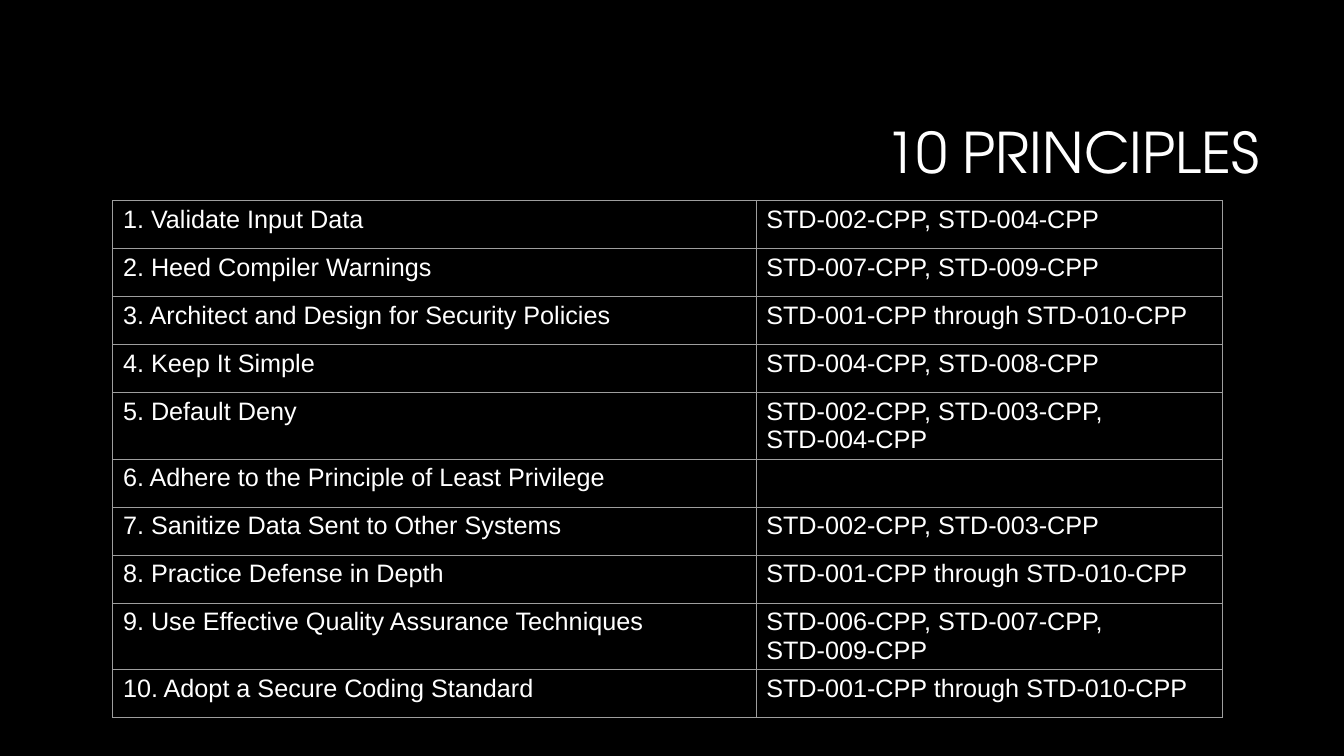
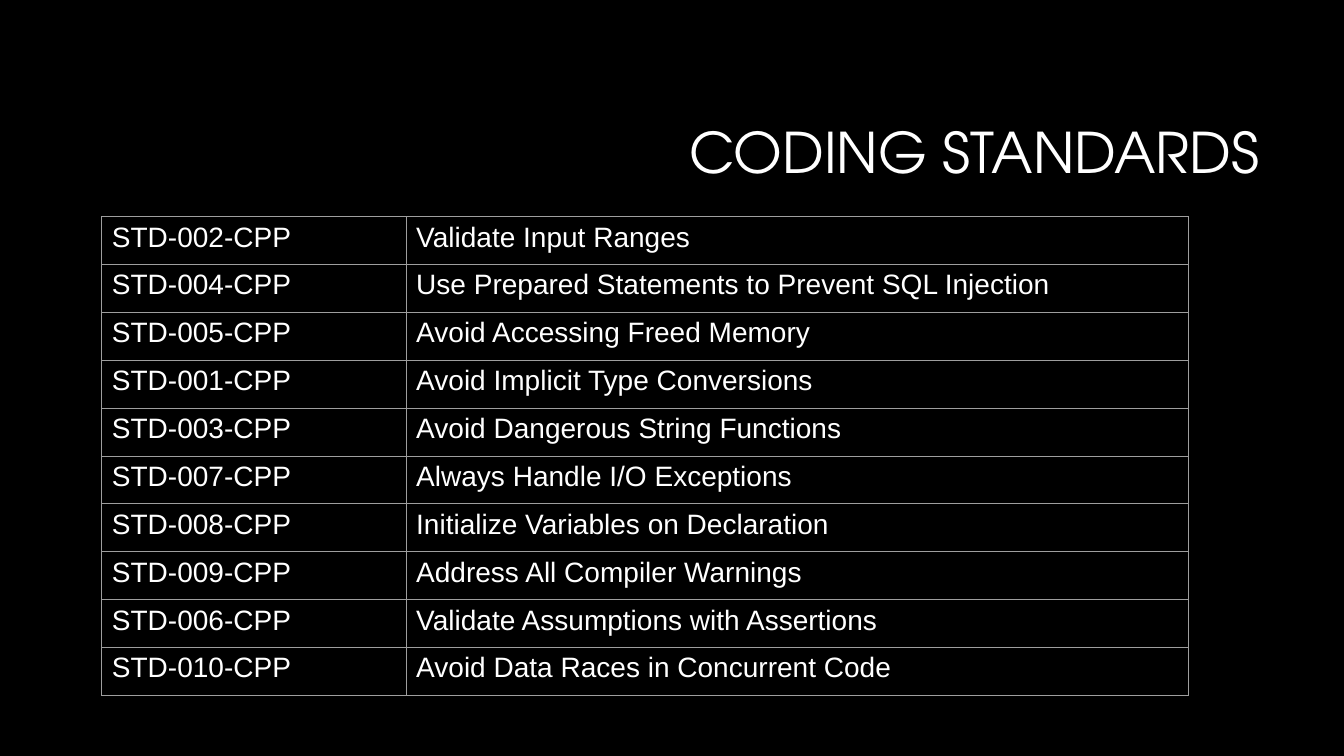
from pptx import Presentation
from pptx.dml.color import RGBColor
from pptx.enum.text import MSO_ANCHOR, MSO_AUTO_SIZE, PP_ALIGN
from pptx.oxml import parse_xml
from pptx.oxml.ns import nsdecls
from pptx.util import Inches, Pt

BLACK, WHITE, GREY = "000000", "FFFFFF", "9E9E9E"
TITLE_FONT, BODY_FONT = "TeX Gyre Adventor", "Arial"
TITLE_BOX = (3.17, 0.84, 9.42, 1.41)
BORDER_WIDTH = Pt(0.75)

PRINCIPLES = [
    ("1. Validate Input Data", "STD-002-CPP, STD-004-CPP"),
    ("2. Heed Compiler Warnings", "STD-007-CPP, STD-009-CPP"),
    ("3. Architect and Design for Security Policies", "STD-001-CPP through STD-010-CPP"),
    ("4. Keep It Simple", "STD-004-CPP, STD-008-CPP"),
    ("5. Default Deny", "STD-002-CPP, STD-003-CPP,\nSTD-004-CPP"),
    ("6. Adhere to the Principle of Least Privilege", ""),
    ("7. Sanitize Data Sent to Other Systems", "STD-002-CPP, STD-003-CPP"),
    ("8. Practice Defense in Depth", "STD-001-CPP through STD-010-CPP"),
    ("9. Use Effective Quality Assurance Techniques", "STD-006-CPP, STD-007-CPP,\nSTD-009-CPP"),
    ("10. Adopt a Secure Coding Standard", "STD-001-CPP through STD-010-CPP"),
]

STANDARDS = [
    ("STD-002-CPP", "Validate Input Ranges"),
    ("STD-004-CPP", "Use Prepared Statements to Prevent SQL Injection"),
    ("STD-005-CPP", "Avoid Accessing Freed Memory"),
    ("STD-001-CPP", "Avoid Implicit Type Conversions"),
    ("STD-003-CPP", "Avoid Dangerous String Functions"),
    ("STD-007-CPP", "Always Handle I/O Exceptions"),
    ("STD-008-CPP", "Initialize Variables on Declaration"),
    ("STD-009-CPP", "Address All Compiler Warnings"),
    ("STD-006-CPP", "Validate Assumptions with Assertions"),
    ("STD-010-CPP", "Avoid Data Races in Concurrent Code"),
]


def color(hex_code):
    return RGBColor.from_string(hex_code)


def style_font(paragraph, name, size):
    paragraph.font.name = name
    paragraph.font.size = Pt(size)
    paragraph.font.color.rgb = color(WHITE)


def prepare_layout(deck):
    """Give the title-only layout its black background and title place."""
    layout = deck.slide_layouts.get_by_name("Title Only")
    background = layout.background.fill
    background.solid()
    background.fore_color.rgb = color(BLACK)
    title = layout.placeholders[0]
    title.left, title.top, title.width, title.height = map(Inches, TITLE_BOX)
    title.text_frame.vertical_anchor = MSO_ANCHOR.MIDDLE
    title.text_frame.auto_size = MSO_AUTO_SIZE.NONE
    return layout


def write_title(slide, text):
    slide.shapes.title.text = text
    heading = slide.shapes.title.text_frame.paragraphs[0]
    heading.alignment = PP_ALIGN.RIGHT
    heading.line_spacing = 0.9
    style_font(heading, TITLE_FONT, 40)


def outline_cell(cell):
    properties = cell._tc.get_or_add_tcPr()
    for side in ("lnL", "lnR", "lnT", "lnB"):
        properties.append(parse_xml(
            f'<a:{side} {nsdecls("a")} w="{BORDER_WIDTH}"><a:solidFill>'
            f'<a:srgbClr val="{GREY}"/></a:solidFill></a:{side}>'))
    cell.fill.background()


def add_grid(slide, entries, box, first_share, size):
    """Fill the box with equal rows; the first column takes first_share of it."""
    left, top, width, height = map(Inches, box)
    grid = slide.shapes.add_table(len(entries), 2, left, top, width, height).table
    grid.first_row = grid.horz_banding = False
    grid.columns[0].width = round(width * first_share)
    grid.columns[1].width = width - grid.columns[0].width
    for row, entry in enumerate(entries):
        for column, text in enumerate(entry):
            cell = grid.cell(row, column)
            cell.text = text
            outline_cell(cell)
            for paragraph in cell.text_frame.paragraphs:
                style_font(paragraph, BODY_FONT, size)


def add_table_slide(deck, layout, title, entries, box, first_share, size):
    slide = deck.slides.add_slide(layout)
    write_title(slide, title)
    add_grid(slide, entries, box, first_share, size)


def main():
    deck = Presentation()
    deck.slide_width, deck.slide_height = Inches(13.33), Inches(7.5)
    layout = prepare_layout(deck)
    add_table_slide(deck, layout, "10 PRINCIPLES", PRINCIPLES,
                    (1.12, 1.99, 11, 4.76), 0.58, 18)
    add_table_slide(deck, layout, "CODING STANDARDS", STANDARDS,
                    (1.01, 2.15, 10.78, 4.75), 0.28, 20)
    deck.save("out.pptx")


if __name__ == "__main__":
    main()
